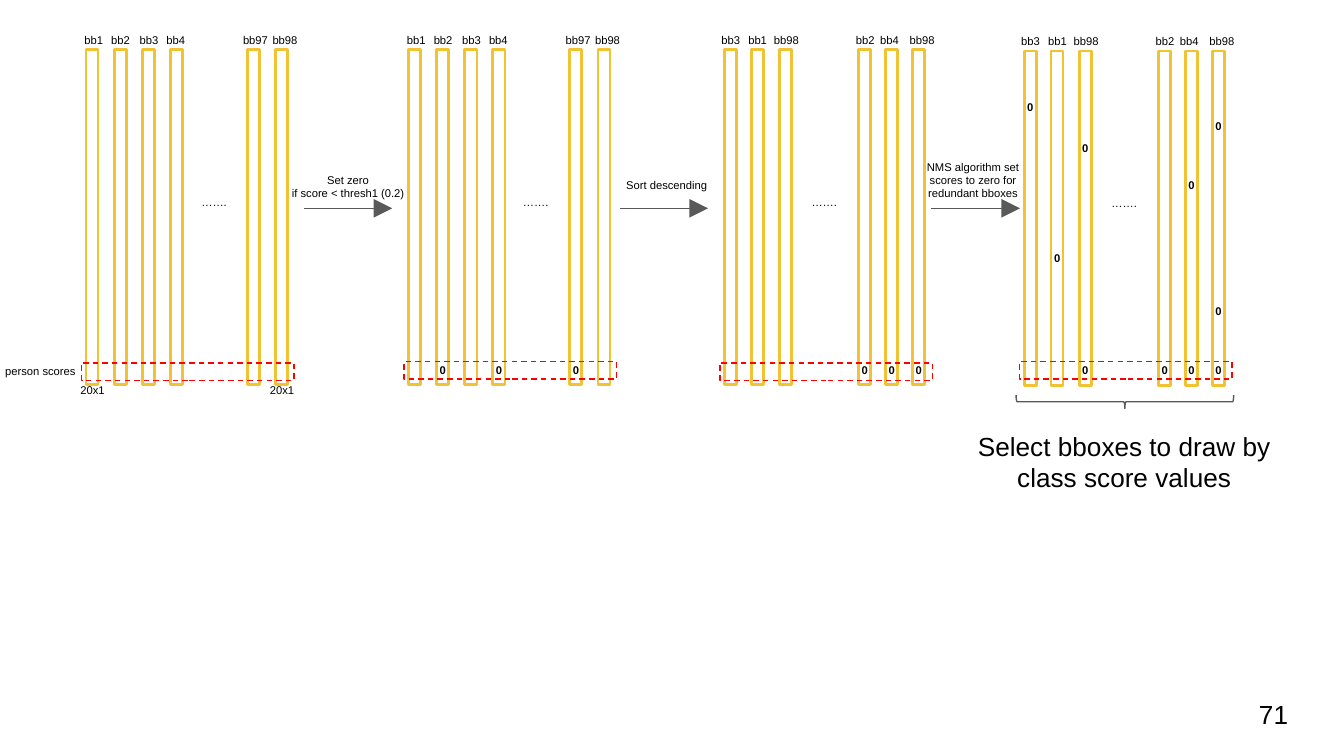
from dataclasses import dataclass

from lxml.etree import SubElement
from pptx import Presentation
from pptx.dml.color import RGBColor
from pptx.enum.dml import MSO_LINE
from pptx.enum.shapes import MSO_CONNECTOR, MSO_SHAPE
from pptx.enum.text import MSO_ANCHOR, PP_ALIGN
from pptx.oxml.ns import qn
from pptx.util import Pt

WHITE = RGBColor(0xFF, 0xFF, 0xFF)
BLACK = RGBColor(0x00, 0x00, 0x00)
GOLD = RGBColor(0xF1, 0xC2, 0x32)
RED = RGBColor(0xFF, 0x00, 0x00)
GRAY = RGBColor(0x59, 0x59, 0x59)

BAR_W, BAR_H = 6.5, 179.3
SCORE = 187.5  # top of a zero in the person score row
INSET = 7.2
SMALL = 6
DROP = 3.5  # lowers a single small line within its box


@dataclass
class Bar:
    name: str
    x: float  # centre, from the centre of the first bar
    tag: float  # left of the label, from the same point
    zeros: tuple = ()


@dataclass
class Stage:
    x: float  # centre of the first bar
    top: float
    frame: float  # top of the dashed frame
    dots: float
    bars: list


@dataclass
class Step:
    x: float  # start of the arrow
    left: float
    top: float
    lines: list


NAMES = ["bb1", "bb2", "bb3", "bb4", "bb97", "bb98"]
SORTED = ["bb3", "bb1", "bb98", "bb2", "bb4", "bb98"]
SPOTS = [(0, -11.2), (15.1, 3.2), (30.2, 18.4), (45.2, 32.8), (86.4, 73.8), (101.5, 89.6)]
SORTED_SPOTS = [(0, -11.9), (14.4, 2.5), (29.5, 16.2), (72, 60.1), (86.4, 73.1), (100.8, 88.9)]


def make_bars(names: list, spots: list, zeros: dict) -> list:
    return [Bar(name, x, tag, zeros.get(i, ()))
            for i, (name, (x, tag)) in enumerate(zip(names, spots))]


LOW = (SCORE,)
STAGES = [
    Stage(49.3, 26.6, 194.4, 51.5, make_bars(NAMES, SPOTS, {})),
    Stage(222.1, 26.6, 193.7, 51, make_bars(NAMES, SPOTS, {1: LOW, 3: LOW, 4: LOW})),
    Stage(391.3, 26.6, 194.4, 36.4,
          make_bars(SORTED, SORTED_SPOTS, {3: LOW, 4: LOW, 5: LOW})),
    Stage(551.9, 27.3, 193.7, 36.4,
          make_bars(SORTED, SORTED_SPOTS, {
              0: (46.8,), 1: (127.4,), 2: (68.4, SCORE), 3: LOW,
              4: (88.6, SCORE), 5: (56.9, 156.2, SCORE)})),
]

STEPS = [
    Step(162.7, 144.7, 85.7, ["Set zero", "if score < thresh1 (0.2)"]),
    Step(331.9, 315.4, 88.6, ["Sort descending"]),
    Step(499, 479.5, 78.5, ["NMS algorithm set", "scores to zero for redundant bboxes"]),
]


def add_text(slide, left: float, top: float, width: float, height: float, lines: list,
             size: float = SMALL, bold: bool = False, align=PP_ALIGN.LEFT,
             anchor=MSO_ANCHOR.TOP) -> None:
    frame = slide.shapes.add_textbox(Pt(left), Pt(top), Pt(width), Pt(height)).text_frame
    frame.word_wrap = True
    frame.vertical_anchor = anchor
    drop = DROP if size == SMALL and len(lines) == 1 else 0
    frame.margin_left = frame.margin_right = Pt(INSET)
    frame.margin_top, frame.margin_bottom = Pt(INSET + drop), Pt(INSET - drop)
    for i, line in enumerate(lines):
        para = frame.add_paragraph() if i else frame.paragraphs[0]
        para.alignment = align
        run = para.add_run()
        run.text = line
        run.font.name = "Arial"
        run.font.size = Pt(size)
        run.font.bold = bold
        run.font.color.rgb = BLACK


def add_shape(slide, kind, left: float, top: float, width: float, height: float,
              color: RGBColor, weight: float, fill: RGBColor | None = None):
    shape = slide.shapes.add_shape(kind, Pt(left), Pt(top), Pt(width), Pt(height))
    shape.shadow.inherit = False
    shape.line.color.rgb = color
    shape.line.width = Pt(weight)
    if fill is None:
        shape.fill.background()
    else:
        shape.fill.solid()
        shape.fill.fore_color.rgb = fill
    return shape


def add_arrow(slide, x: float, y: float, length: float) -> None:
    arrow = slide.shapes.add_connector(
        MSO_CONNECTOR.STRAIGHT, Pt(x), Pt(y), Pt(x + length), Pt(y))
    arrow.line.color.rgb = GRAY
    arrow.line.width = Pt(0.75)
    SubElement(arrow.line._get_or_add_ln(), qn("a:tailEnd"),
               type="triangle", w="lg", len="lg")
    SubElement(arrow._element.spPr, qn("a:effectLst"))


def draw_stage(slide, stage: Stage) -> None:
    for bar in stage.bars:
        add_shape(slide, MSO_SHAPE.RECTANGLE, stage.x + bar.x - BAR_W / 2, stage.top,
                  BAR_W, BAR_H, GOLD, 1.5, WHITE)
        add_text(slide, stage.x + bar.tag, stage.top - 15.8, 30.2, 19.4, [bar.name])
    add_text(slide, stage.x + stage.dots, stage.top + 70.9, 48.2, 14.4, ["……."])
    frame = add_shape(slide, MSO_SHAPE.RECTANGLE, stage.x - 5.6, stage.frame,
                      113.8, 9.4, RED, 0.75)
    frame.line.dash_style = MSO_LINE.DASH
    for bar in stage.bars:
        for top in bar.zeros:
            add_text(slide, stage.x + bar.x - 8.7, top, 17.3, 19.4, ["0"],
                     bold=True, align=PP_ALIGN.CENTER)


def draw_step(slide, step: Step) -> None:
    add_arrow(slide, step.x, 111.6, 47.4)
    add_text(slide, step.left, step.top, 83.5, 19.4, step.lines, align=PP_ALIGN.CENTER)


def main() -> None:
    deck = Presentation()
    deck.slide_width, deck.slide_height = Pt(720), Pt(405)
    slide = deck.slides.add_slide(deck.slide_layouts[6])

    for stage in STAGES:
        draw_stage(slide, stage)
    for step in STEPS:
        draw_step(slide, step)

    add_text(slide, -4.3, 187.9, 56.9, 19.4, ["person scores"])
    for left in (36, 137.5):
        add_text(slide, left, 198.4, 30.2, 14.4, ["20x1"])

    brace = add_shape(slide, MSO_SHAPE.RIGHT_BRACE, 599, 157, 7.2, 116.6, GRAY, 0.75)
    brace.rotation = 90
    brace.adjustments[0] = 0.08
    add_text(slide, 511.2, 223.2, 182.2, 19.4,
             ["Select bboxes to draw by class score values"],
             size=14, align=PP_ALIGN.CENTER)
    add_text(slide, 667.4, 367.2, 43.2, 31, ["71"], size=14, anchor=MSO_ANCHOR.MIDDLE)

    deck.save("out.pptx")


if __name__ == "__main__":
    main()
